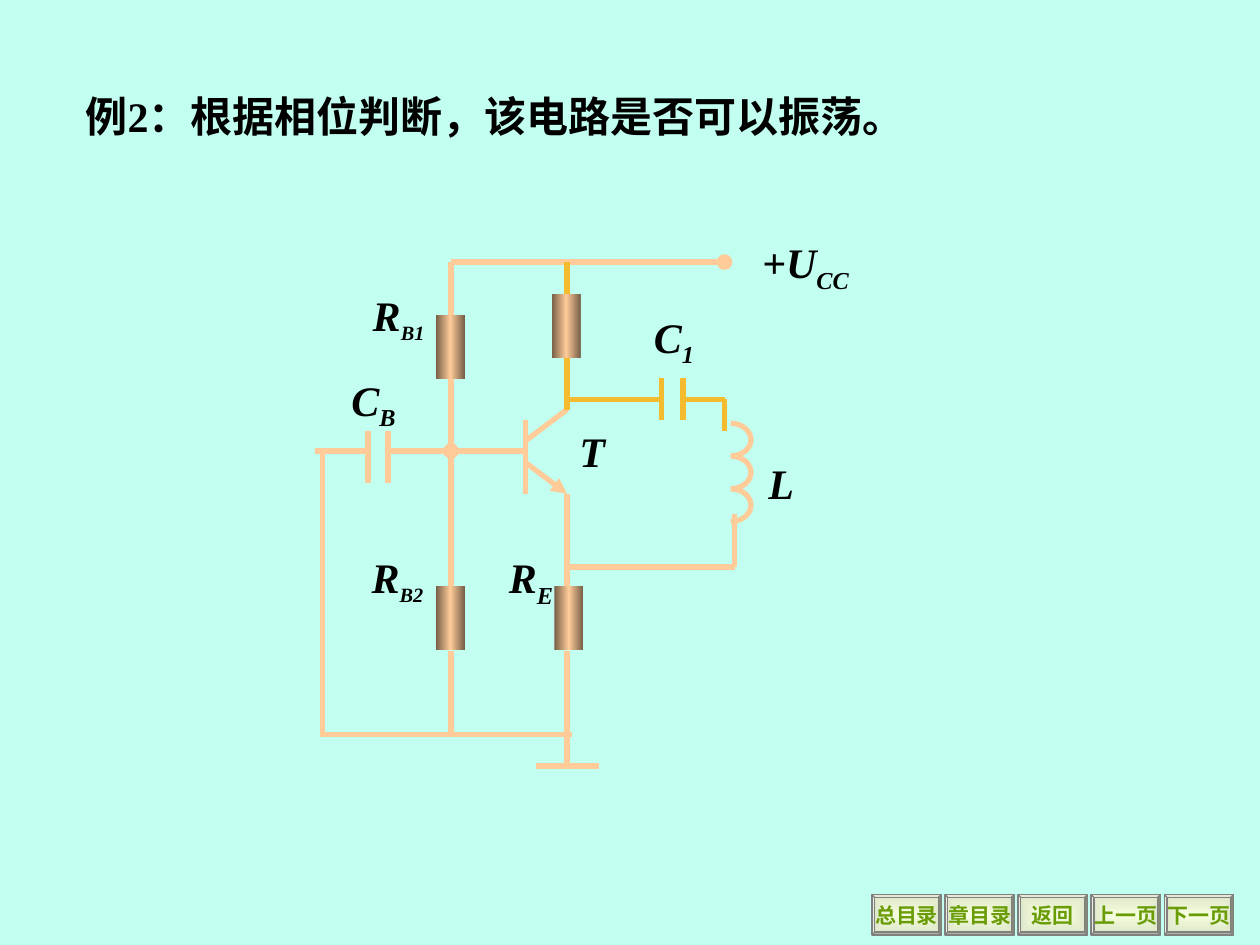
import dataclasses
import typing

import lxml.etree
import pptx
import pptx.dml.color
import pptx.enum.shapes
import pptx.enum.text
import pptx.oxml
import pptx.oxml.ns
import pptx.util

Inches = pptx.util.Inches
Pt = pptx.util.Pt
SHAPE = pptx.enum.shapes.MSO_SHAPE
ALIGN = pptx.enum.text.PP_ALIGN
ANCHOR = pptx.enum.text.MSO_ANCHOR
AUTO_SIZE = pptx.enum.text.MSO_AUTO_SIZE
qn = pptx.oxml.ns.qn

FONT = "Times New Roman"
COLORS = {
    "background": "C2FFF0",
    "text": "000000",
    "wire": "FFCC99",
    "collector": "F3BB2D",
    "resistor_edge": "765E47",
    "button_centre": "F5FEDE",
    "button_edge": "DCE4C7",
    "button_line": "808080",
    "button_text": "6A9C06",
}


@dataclasses.dataclass
class Wire:
    x1: float
    y1: float
    x2: float
    y2: float
    color: str = "wire"
    head: str = ""
    tail: str = ""


@dataclasses.dataclass
class Label:
    symbol: str
    subscript: str
    left: float
    top: float
    width: float
    height: float = 0.56
    subscript_size: int = 24


WIRES = [
    # Supply rail and base bias column
    Wire(5.75, 2.08, 3.58, 2.08, head="oval"),
    Wire(3.58, 2.08, 3.58, 2.5),
    Wire(3.58, 3, 3.58, 3.58),
    Wire(3.58, 3.58, 3.58, 4.67),
    Wire(3.58, 5.17, 3.58, 5.83),
    # Transistor
    Wire(3.58, 3.58, 4.17, 3.58, head="oval"),
    Wire(4.17, 3.33, 4.17, 3.92),
    Wire(4.17, 3.5, 4.5, 3.25),
    Wire(4.17, 3.67, 4.5, 3.92, tail="triangle"),
    # Emitter column and ground
    Wire(4.5, 3.92, 4.5, 4.67),
    Wire(4.5, 5.17, 4.5, 5.92),
    Wire(4.5, 5.83, 4.5, 6.08),
    Wire(4.25, 6.08, 4.75, 6.08),
    # Base capacitor and its return path
    Wire(3.08, 3.83, 3.08, 3.42),
    Wire(2.92, 3.83, 2.92, 3.42),
    Wire(3.08, 3.58, 3.58, 3.58),
    Wire(2.5, 3.58, 2.92, 3.58),
    Wire(2.56, 3.58, 2.56, 5.83),
    Wire(2.54, 5.83, 4.54, 5.83),
    # Feedback from the coil to the emitter
    Wire(4.5, 4.5, 5.83, 4.5),
    Wire(5.83, 4.08, 5.83, 4.5),
    # Collector branch with its capacitor
    Wire(4.5, 3.25, 4.5, 2.08, "collector"),
    Wire(4.5, 3.17, 5.25, 3.17, "collector"),
    Wire(5.42, 3.17, 5.75, 3.17, "collector"),
    Wire(5.75, 3.17, 5.75, 3.42, "collector"),
    Wire(5.25, 3, 5.25, 3.33, "collector"),
    Wire(5.42, 3, 5.42, 3.33, "collector"),
]

RESISTORS = [(3.46, 2.5), (3.46, 4.65), (4.4, 4.65), (4.38, 2.33)]

LABELS = [
    Label("R", "E", 3.94, 4.33, 0.55),
    Label("C", "1", 5.09, 2.42, 0.52),
    Label("R", "B1", 2.86, 2.25, 0.61, 0.54, 20),
    Label("R", "B2", 2.85, 4.33, 0.61, 0.54, 20),
    Label("C", "B", 2.69, 2.92, 0.55),
    Label("L", "", 6, 3.58, 0.4, 0.5),
    Label("T", "", 4.5, 3.33, 0.4, 0.5),
    Label("+U", "CC", 5.95, 1.83, 0.89),
]

BUTTONS = ["总目录", "章目录", "返回", "上一页", "下一页"]


def rgb(name: str) -> pptx.dml.color.RGBColor:
    return pptx.dml.color.RGBColor.from_string(COLORS[name])


def style(font: typing.Any, size: float, color: str = "text", italic: bool = False) -> None:
    font.name = FONT
    font.size = Pt(size)
    font.bold = True
    font.italic = italic
    font.color.rgb = rgb(color)


def add_preset(page: typing.Any, kind: typing.Any, left: float, top: float,
               width: float, height: float) -> typing.Any:
    shape = page.shapes.add_shape(kind, Inches(left), Inches(top), Inches(width), Inches(height))
    shape.shadow.inherit = False
    return shape


def fill_gradient(shape: typing.Any, stops: list[tuple[int, str]], direction: str) -> None:
    marks = "".join(f'<a:gs pos="{place * 1000}"><a:srgbClr val="{COLORS[name]}"/></a:gs>'
                    for place, name in stops)
    gradient = pptx.oxml.parse_xml(
        f'<a:gradFill {pptx.oxml.ns.nsdecls("a")} rotWithShape="1">'
        f"<a:gsLst>{marks}</a:gsLst>{direction}</a:gradFill>")
    shape._element.spPr.find(qn("a:prstGeom")).addnext(gradient)


def add_wire(page: typing.Any, wire: Wire) -> None:
    line = page.shapes.add_connector(
        pptx.enum.shapes.MSO_CONNECTOR.STRAIGHT,
        Inches(wire.x1), Inches(wire.y1), Inches(wire.x2), Inches(wire.y2))
    line.line.color.rgb = rgb(wire.color)
    line.line.width = Pt(3)
    for tag, end in (("a:headEnd", wire.head), ("a:tailEnd", wire.tail)):
        if end:
            lxml.etree.SubElement(line.line._get_or_add_ln(), qn(tag), type=end)
    lxml.etree.SubElement(line._element.spPr, qn("a:effectLst"))


def add_resistor(page: typing.Any, left: float, top: float) -> None:
    body = add_preset(page, SHAPE.RECTANGLE, left, top, 0.23, 0.51)
    fill_gradient(body, [(0, "resistor_edge"), (50, "wire"), (100, "resistor_edge")],
                  '<a:lin ang="0" scaled="1"/>')
    body.line.fill.background()


def add_coil_turn(page: typing.Any, top: float, height: float) -> None:
    turn = add_preset(page, SHAPE.ARC, 5.64, top, 0.32, height)
    turn.adjustments[0] = 162
    turn.adjustments[1] = 54
    turn.fill.background()
    turn.line.color.rgb = rgb("wire")
    turn.line.width = Pt(3)


def add_label(page: typing.Any, label: Label) -> None:
    box = page.shapes.add_textbox(Inches(label.left), Inches(label.top),
                                  Inches(label.width), Inches(label.height))
    box.text_frame.word_wrap = False
    box.text_frame.auto_size = AUTO_SIZE.SHAPE_TO_FIT_TEXT
    para = box.text_frame.paragraphs[0]
    para.text = label.symbol
    style(para.runs[0].font, 24, italic=True)
    if label.subscript:
        span = para.add_run()
        span.text = label.subscript
        style(span.font, label.subscript_size, italic=True)
        span.font._element.set("baseline", "-25000")


def add_button(page: typing.Any, left: float, caption: str) -> None:
    button = add_preset(page, SHAPE.BEVEL, left, 7.1, 0.55, 0.32)
    button.adjustments[0] = 0.07
    fill_gradient(button, [(0, "button_centre"), (100, "button_edge")],
                  '<a:path path="rect"><a:fillToRect l="50000" t="50000" r="50000" b="50000"/></a:path>')
    button.line.color.rgb = rgb("button_line")
    button.line.width = Pt(0.75)
    button.text_frame.text = caption
    button.text_frame.word_wrap = False
    button.text_frame.vertical_anchor = ANCHOR.MIDDLE
    para = button.text_frame.paragraphs[0]
    para.alignment = ALIGN.CENTER
    style(para.runs[0].font, 12, "button_text")


def add_title(page: typing.Any, text: str) -> None:
    title = page.shapes.title
    title.left, title.top = Inches(0.58), Inches(0.67)
    title.width, title.height = Inches(6.75), Inches(0.5)
    frame = title.text_frame
    frame.text = text
    frame.word_wrap = True
    frame.auto_size = AUTO_SIZE.SHAPE_TO_FIT_TEXT
    frame.vertical_anchor = ANCHOR.TOP
    frame.paragraphs[0].alignment = ALIGN.LEFT
    style(frame.paragraphs[0].runs[0].font, 24)


def main() -> None:
    deck = pptx.Presentation()
    deck.slide_width, deck.slide_height = Inches(10), Inches(7.5)
    page = deck.slides.add_slide(deck.slide_layouts[5])
    page.background.fill.solid()
    page.background.fill.fore_color.rgb = rgb("background")

    add_title(page, "例2：根据相位判断，该电路是否可以振荡。")

    # Navigation buttons
    for index, caption in enumerate(BUTTONS):
        add_button(page, 6.92 + 0.58 * index, caption)

    # Circuit
    for wire in WIRES:
        add_wire(page, wire)
    for left, top in RESISTORS:
        add_resistor(page, left, top)
    turn_height = 0.26
    for index in range(3):
        add_coil_turn(page, 3.36 + turn_height * index, turn_height)
    for label in LABELS:
        add_label(page, label)

    deck.save("out.pptx")


if __name__ == "__main__":
    main()
